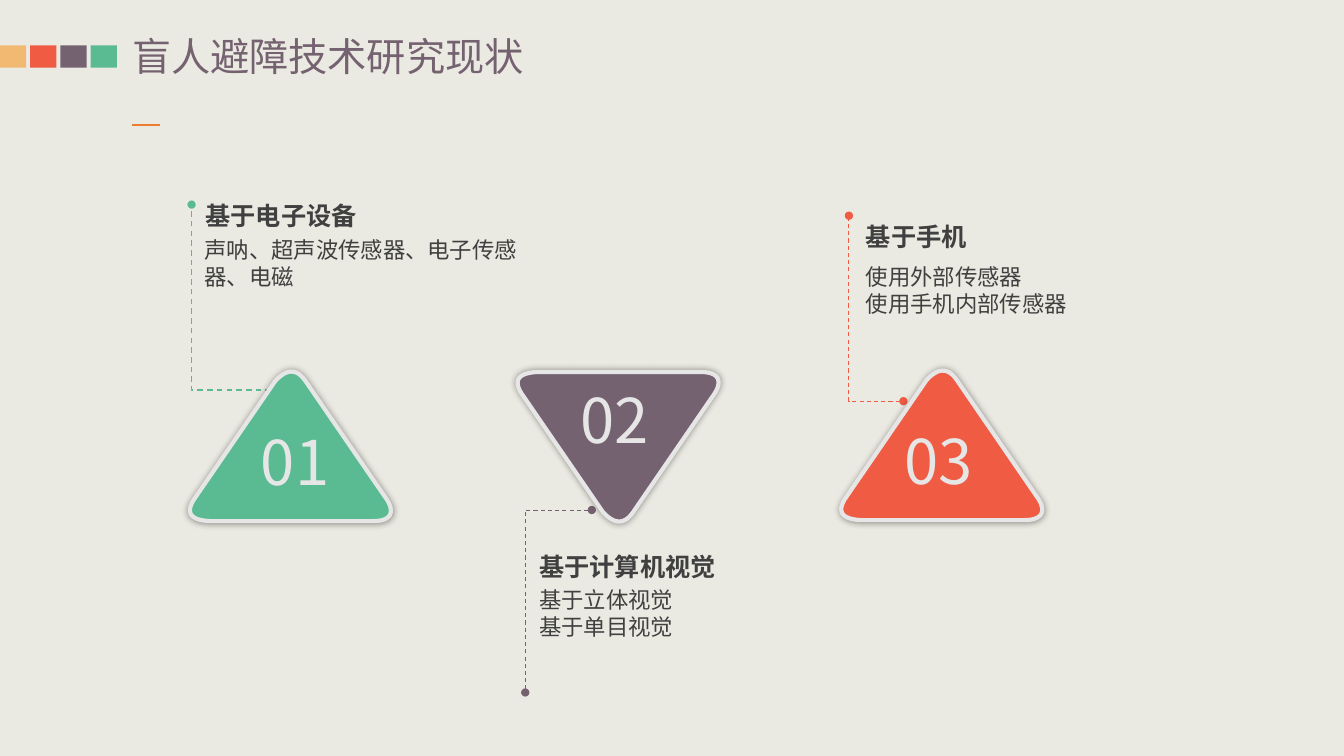
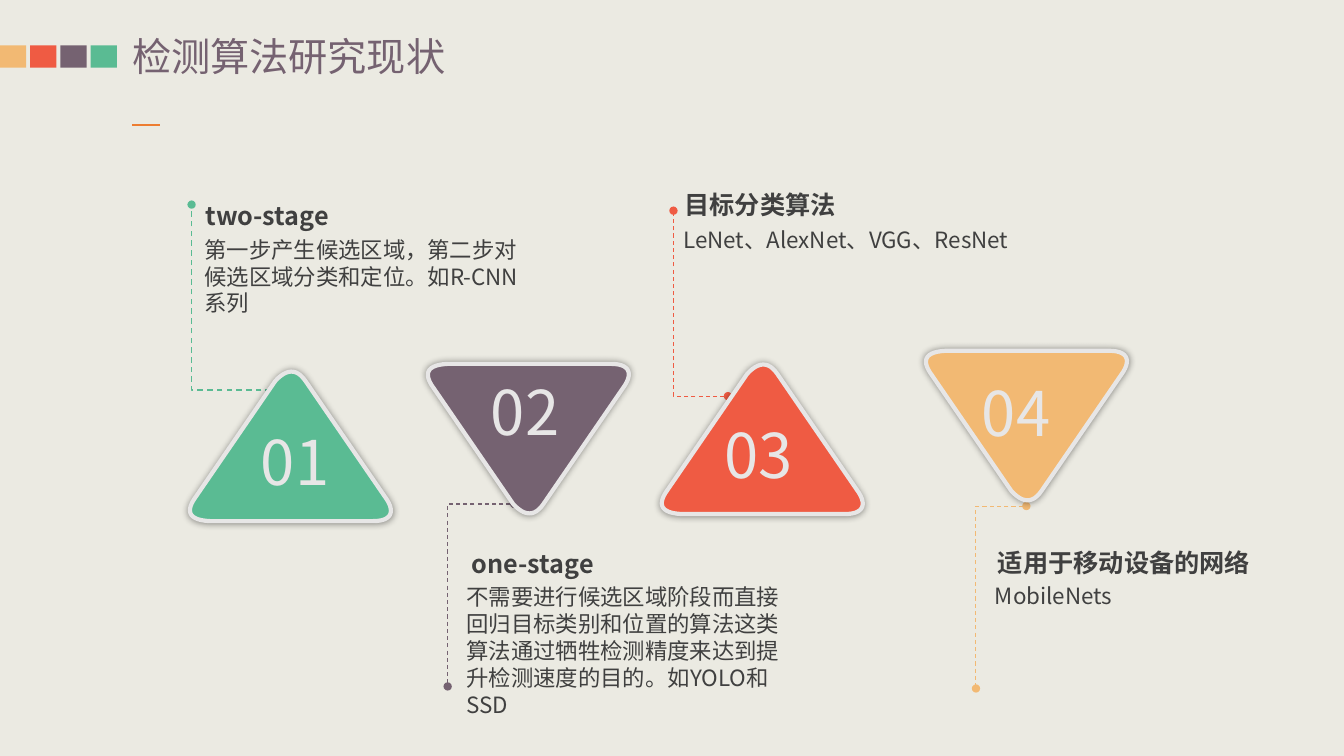
import lxml.etree
import pptx
import pptx.dml.color
import pptx.enum.dml
import pptx.enum.shapes
import pptx.enum.text
import pptx.oxml
import pptx.oxml.ns
import pptx.util

Inches = pptx.util.Inches
FONT = "Noto Sans CJK SC"
GREEN, PURPLE, RED, GOLD = "5ABB93", "756271", "EF5B43", "F2B973"
PAPER, ACCENT, INK, PALE = "EBEAE2", "ED7D31", "404040", "E7E6E6"
HEADING = {"size": 18, "bold": True, "color": INK}
BODY = {"size": 16, "bold": False, "color": INK}
NUMBER = {"size": 44, "bold": False, "color": PALE}
TITLE = {"size": 28, "bold": False, "color": PURPLE}
TRIANGLE_HEIGHT = 1.52
SIDE_ENDS = [(1.19, 0.13), (2, 1.31), (1.86, 1.52), (0.24, 1.52), (0.08, 1.31), (0.89, 0.13)]
CORNERS = [
    [(2, 1.31), (2.08, 1.44), (2.03, 1.52), (1.86, 1.52)],
    [(0.24, 1.52), (0.05, 1.51), (0, 1.44), (0.08, 1.31)],
    [(0.89, 0.13), (1, 0.01), (1.1, 0), (1.19, 0.13)],
]


def rgb(value):
    return pptx.dml.color.RGBColor.from_string(value)


def add_xml(parent, tag, **attributes):
    element = lxml.etree.SubElement(parent, pptx.oxml.ns.qn(tag))
    for name, value in attributes.items():
        element.set(name, str(value))
    return element


def paint(shape, fill, line, width=1):
    shape.shadow.inherit = False
    for part, color in ((shape.fill, fill), (shape.line.fill, line)):
        if color:
            part.solid()
            part.fore_color.rgb = rgb(color)
        else:
            part.background()
    if line:
        shape.line.width = pptx.util.Pt(width)


def write(shape, text, style, wrap=True, margin=None):
    frame = shape.text_frame
    frame.text = text
    settings = {
        "word_wrap": wrap,
        "vertical_anchor": pptx.enum.text.MSO_ANCHOR.TOP,
        "auto_size": pptx.enum.text.MSO_AUTO_SIZE.SHAPE_TO_FIT_TEXT,
    }
    if margin is not None:
        for side in ("left", "top", "right", "bottom"):
            settings["margin_" + side] = margin
    for name, value in settings.items():
        setattr(frame, name, value)
    for paragraph in frame.paragraphs:
        paragraph.alignment = pptx.enum.text.PP_ALIGN.LEFT
        for run in paragraph.runs:
            font = {"name": FONT, "size": pptx.util.Pt(style["size"]), "bold": style["bold"]}
            for name, value in font.items():
                setattr(run.font, name, value)
            run.font.color.rgb = rgb(style["color"])
            add_xml(run.font._element, "a:ea", typeface=FONT)


def add_text(slide, box, text, style, wrap=True):
    shape = slide.shapes.add_textbox(*map(Inches, box))
    write(shape, text, style, wrap)


def add_outline(slide, points, close):
    points = [(Inches(x), Inches(y)) for x, y in points]
    builder = slide.shapes.build_freeform(*points[0])
    builder.add_line_segments(points[1:], close=close)
    return builder.convert_to_shape()


def add_trace(slide, corner, reach, rise, color, width):
    x, y = corner
    shape = add_outline(slide, [(x + reach, y), (x, y), (x, y + rise)], False)
    paint(shape, None, color, width)
    shape.line.dash_style = pptx.enum.dml.MSO_LINE.DASH
    for tag in ("a:headEnd", "a:tailEnd"):
        add_xml(shape.line._get_or_add_ln(), tag, type="oval")


def bend(controls, steps=12):
    points = []
    for step in range(steps + 1):
        t = step / steps
        weights = ((1 - t) ** 3, 3 * t * (1 - t) ** 2, 3 * t * t * (1 - t), t ** 3)
        points.append(tuple(sum(w * c[axis] for w, c in zip(weights, controls)) for axis in (0, 1)))
    return points


def add_triangle(slide, left, top, points_up, color):
    outline = [point for corner in CORNERS for point in bend(corner)]
    placed = [(left + x, top + (y if points_up else TRIANGLE_HEIGHT - y)) for x, y in outline]
    shape = add_outline(slide, placed, True)
    paint(shape, color, PALE, 3)
    effects = shape._element.spPr.find(pptx.oxml.ns.qn("a:effectLst"))
    shadow = add_xml(effects, "a:outerShdw", blurRad=pptx.util.Pt(5), dist=0, dir=0, algn="ctr", rotWithShape=0)
    add_xml(add_xml(shadow, "a:srgbClr", val="000000"), "a:alpha", val=40000)


def add_header(slide, text):
    title = slide.shapes.title
    for name, value in zip(("left", "top", "width", "height"), (1.31, 0.32, 5.17, 0.47)):
        setattr(title, name, Inches(value))
    write(title, text, TITLE, margin=0)
    for index, color in enumerate((GOLD, RED, PURPLE, GREEN)):
        box = map(Inches, (0.3 * index, 0.45, 0.26, 0.22))
        paint(slide.shapes.add_shape(pptx.enum.shapes.MSO_SHAPE.RECTANGLE, *box), color, None)
    dash = slide.shapes.add_connector(
        pptx.enum.shapes.MSO_CONNECTOR.STRAIGHT, *map(Inches, (1.31, 1.24, 1.59, 1.24)))
    dash.line.color.rgb = rgb(ACCENT)
    dash.line.width = pptx.util.Pt(1.5)
    add_xml(dash._element.spPr, "a:effectLst")


def add_topic_slide(presentation, title, topics):
    slide = presentation.slides.add_slide(presentation.slide_layouts[5])
    add_header(slide, title)
    for topic in topics:
        add_trace(slide, *topic["trace"], topic["color"], topic.get("width", 0.75))
    for index, topic in enumerate(topics, 1):
        left, top = topic["triangle"]
        points_up = topic["trace"][2] < 0
        add_triangle(slide, left, top, points_up, topic["color"])
        shift_x, shift_y = topic.get("shift", (0.57, 0.51 if points_up else 0.05))
        add_text(slide, (left + shift_x, top + shift_y, 0.92, 0.84), f"{index:02}", NUMBER, False)
        add_text(slide, (*topic["body_at"], 3.44, topic["body_height"]), topic["body"], BODY)
        add_text(slide, (*topic["heading_at"], topic["heading_width"], 0.4), topic["heading"], HEADING, False)


FIRST = {
    "color": GREEN, "width": 1, "trace": ((1.9, 3.87), 0.92, -1.84),
    "triangle": (1.84, 3.65), "shift": (0.65, 0.51),
    "heading_at": (1.94, 1.94), "body_at": (1.93, 2.29),
}
OBSTACLE_TOPICS = [
    {**FIRST, "heading": "基于电子设备", "heading_width": 1.72,
     "body": "声呐、超声波传感器、电子传感器、电磁", "body_height": 0.64},
    {"color": PURPLE, "trace": ((5.21, 5.06), 0.66, 1.81), "triangle": (5.09, 3.69),
     "heading": "基于计算机视觉", "heading_at": (5.25, 5.42), "heading_width": 1.97,
     "body": "基于立体视觉\n基于单目视觉", "body_at": (5.25, 5.77), "body_height": 0.64},
    {"color": RED, "trace": ((8.42, 3.98), 0.54, -1.84), "triangle": (8.3, 3.64),
     "heading": "基于手机", "heading_at": (8.49, 2.15), "heading_width": 1.21,
     "body": "使用外部传感器\n使用手机内部传感器", "body_at": (8.49, 2.56), "body_height": 0.64},
]
DETECTION_TOPICS = [
    {**FIRST, "heading": "two-stage", "heading_width": 1.49,
     "body": "第一步产生候选区域，第二步对候选区域分类和定位。如R-CNN系列", "body_height": 0.91},
    {"color": PURPLE, "trace": ((4.44, 5), 0.66, 1.81), "triangle": (4.2, 3.61),
     "heading": "one-stage", "heading_at": (4.58, 5.39), "heading_width": 1.48,
     "body": "不需要进行候选区域阶段而直接回归目标类别和位置的算法这类算法通过牺牲检测精度来达到提升检测速度的目的。如YOLO和SSD",
     "body_at": (4.53, 5.74), "body_height": 1.45},
    {"color": RED, "trace": ((6.68, 3.93), 0.54, -1.84), "triangle": (6.52, 3.58),
     "heading": "目标分类算法", "heading_at": (6.69, 1.83), "heading_width": 1.72,
     "body": "LeNet、AlexNet、VGG、ResNet", "body_at": (6.68, 2.19), "body_height": 0.64},
    {"color": GOLD, "trace": ((9.68, 5.02), 0.5, 1.81), "triangle": (9.14, 3.48), "shift": (0.5, 0.19),
     "heading": "适用于移动设备的网络", "heading_at": (9.8, 5.38), "heading_width": 2.73,
     "body": "MobileNets", "body_at": (9.77, 5.73), "body_height": 0.37},
]

presentation = pptx.Presentation()
presentation.slide_width = Inches(13.33)
presentation.slide_height = Inches(7.5)
background = presentation.slide_master.background.fill
background.solid()
background.fore_color.rgb = rgb(PAPER)
add_topic_slide(presentation, "盲人避障技术研究现状", OBSTACLE_TOPICS)
add_topic_slide(presentation, "检测算法研究现状", DETECTION_TOPICS)
presentation.save("out.pptx")
